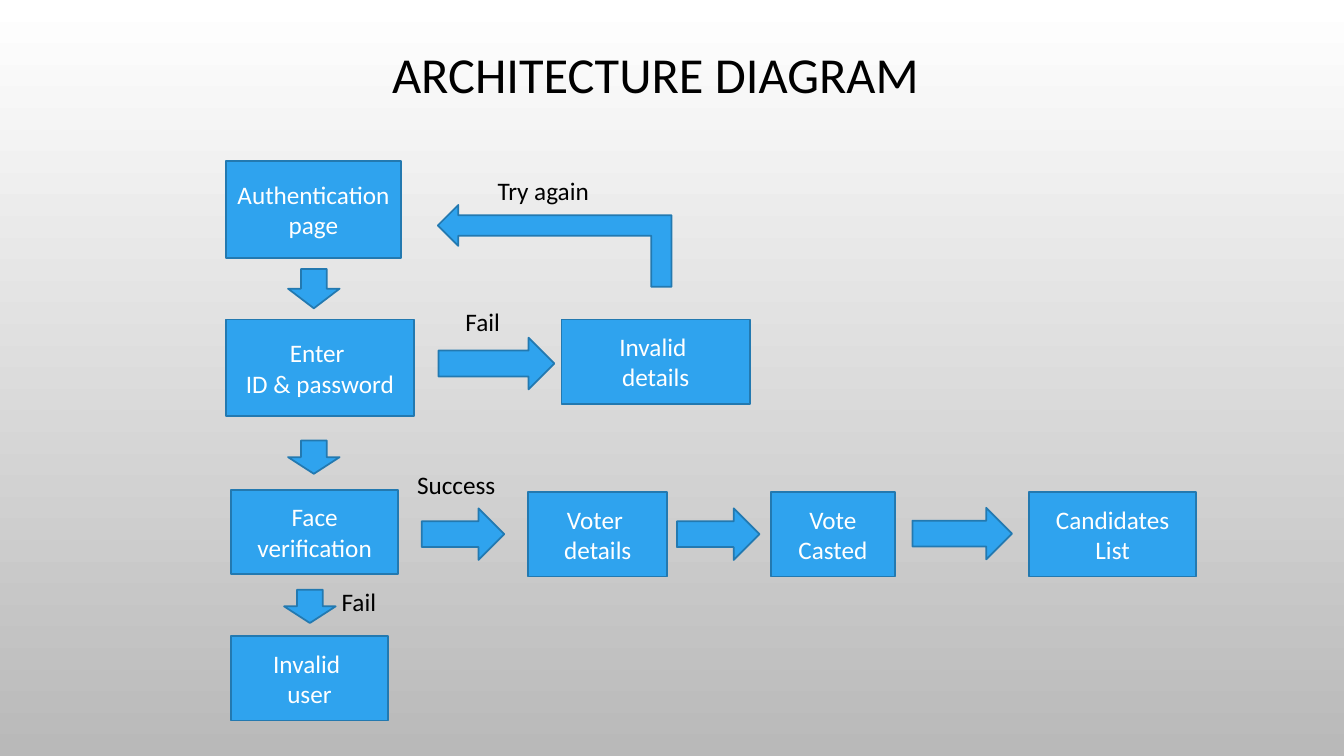
from pptx import Presentation
from pptx.dml.color import RGBColor
from pptx.enum.shapes import MSO_SHAPE
from pptx.enum.text import MSO_ANCHOR, MSO_AUTO_SIZE, PP_ALIGN
from pptx.util import Cm, Pt

RECTANGLE = MSO_SHAPE.RECTANGLE
DOWN_ARROW = MSO_SHAPE.DOWN_ARROW
BENT_ARROW = MSO_SHAPE.BENT_UP_ARROW
MIDDLE = MSO_ANCHOR.MIDDLE
TOP = MSO_ANCHOR.TOP
CENTER = PP_ALIGN.CENTER
LEFT = PP_ALIGN.LEFT
GROW = MSO_AUTO_SIZE.SHAPE_TO_FIT_TEXT

COLORS = {
    "fill": "2FA3EE",
    "line": "2379B0",
    "light": "FFFFFF",
    "dark": "000000",
    "background_top": "FFFFFF",
    "background_bottom": "B9B9B9",
}

ARROW_WIDTH = 1.3
LABEL_HEIGHT = 1.02

STEPS = [
    (["Authentication", "page"], 5.69, 4.06, 4.42, 2.44),
    (["Enter ", "ID & password"], 5.69, 8.05, 4.75, 2.44),
    (["Invalid ", "details"], 14.15, 8.05, 4.75, 2.13),
    (["Face verification"], 5.82, 12.34, 4.22, 2.13),
    (["Voter ", "details"], 13.31, 12.4, 3.51, 2.13),
    (["Vote Casted"], 19.43, 12.4, 3.12, 2.13),
    (["Candidates", "List"], 25.93, 12.4, 4.22, 2.13),
    (["Invalid ", "user"], 5.82, 16.03, 3.96, 2.13),
]
DOWN_ARROWS = [(7.26, 6.78, 0.99), (7.26, 11.1, 0.84), (7.16, 14.86, 0.84)]
RIGHT_ARROWS = [
    (11.86, 7.7, 2.92),
    (11.02, 12.42, 2.08),
    (17.45, 12.42, 2.08),
    (23.6, 12.19, 2.51),
]
LABELS = [
    ("Try again", 12.29, 4.29, 4.42),
    ("Fail", 11.48, 7.59, 3.12),
    ("Success", 10.26, 11.71, 3.12),
    ("Fail", 8.36, 14.66, 3.12),
]


def apply(target, values):
    for name, value in values.items():
        setattr(target, name, value)


class Diagram:
    font = "Calibri"
    text_size = 18
    line_width = 1.25

    def __init__(self, deck):
        self.slide = deck.slides.add_slide(deck.slide_layouts[5])

    def color(self, name):
        return RGBColor.from_string(COLORS[name])

    def background(self):
        fill = self.slide.background.fill
        fill.gradient()
        fill.gradient_angle = 270
        for stop, name in zip(fill.gradient_stops, ("background_top", "background_bottom")):
            stop.color.rgb = self.color(name)

    def fill_text(self, frame, lines, color, size, anchor, align):
        apply(frame, {"word_wrap": True, "vertical_anchor": anchor})
        for index, line in enumerate(lines):
            para = frame.add_paragraph() if index else frame.paragraphs[0]
            para.alignment = align
            span = para.add_run()
            span.text = line
            apply(span.font, {"name": self.font, "size": Pt(size)})
            span.font.color.rgb = self.color(color)

    def title(self, text, left, top, width, height):
        title = self.slide.shapes.title
        apply(title, {"left": Cm(left), "top": Cm(top), "width": Cm(width), "height": Cm(height)})
        self.fill_text(title.text_frame, [text], "dark", 36, MIDDLE, CENTER)
        title.text_frame.paragraphs[0].line_spacing = 0.9

    def shape(self, kind, left, top, width, height, rotation=0):
        shape = self.slide.shapes.add_shape(kind, Cm(left), Cm(top), Cm(width), Cm(height))
        shape.rotation = rotation
        shape.shadow.inherit = False
        shape.fill.solid()
        shape.fill.fore_color.rgb = self.color("fill")
        shape.line.color.rgb = self.color("line")
        shape.line.width = Pt(self.line_width)
        return shape

    def step(self, lines, left, top, width, height):
        box = self.shape(RECTANGLE, left, top, width, height)
        self.fill_text(box.text_frame, lines, "light", self.text_size, MIDDLE, CENTER)

    def arrow(self, left, top, length, rotation=0):
        self.shape(DOWN_ARROW, left, top, ARROW_WIDTH, length, rotation)

    def label(self, text, left, top, width):
        box = self.slide.shapes.add_textbox(Cm(left), Cm(top), Cm(width), Cm(LABEL_HEIGHT))
        self.fill_text(box.text_frame, [text], "dark", self.text_size, TOP, LEFT)
        box.text_frame.auto_size = GROW


def main():
    deck = Presentation()
    apply(deck, {"slide_width": Cm(33.87), "slide_height": Cm(19.05)})
    diagram = Diagram(deck)
    diagram.background()
    diagram.title("ARCHITECTURE DIAGRAM", 2.13, 0.76, 28.78, 2.36)
    for step in STEPS:
        diagram.step(*step)
    for arrow in DOWN_ARROWS:
        diagram.arrow(*arrow)
    for arrow in RIGHT_ARROWS:
        diagram.arrow(*arrow, rotation=270)
    diagram.shape(BENT_ARROW, 12.95, 3.25, 2.06, 5.89, 270)
    for label in LABELS:
        diagram.label(*label)
    deck.save("out.pptx")


if __name__ == "__main__":
    main()
